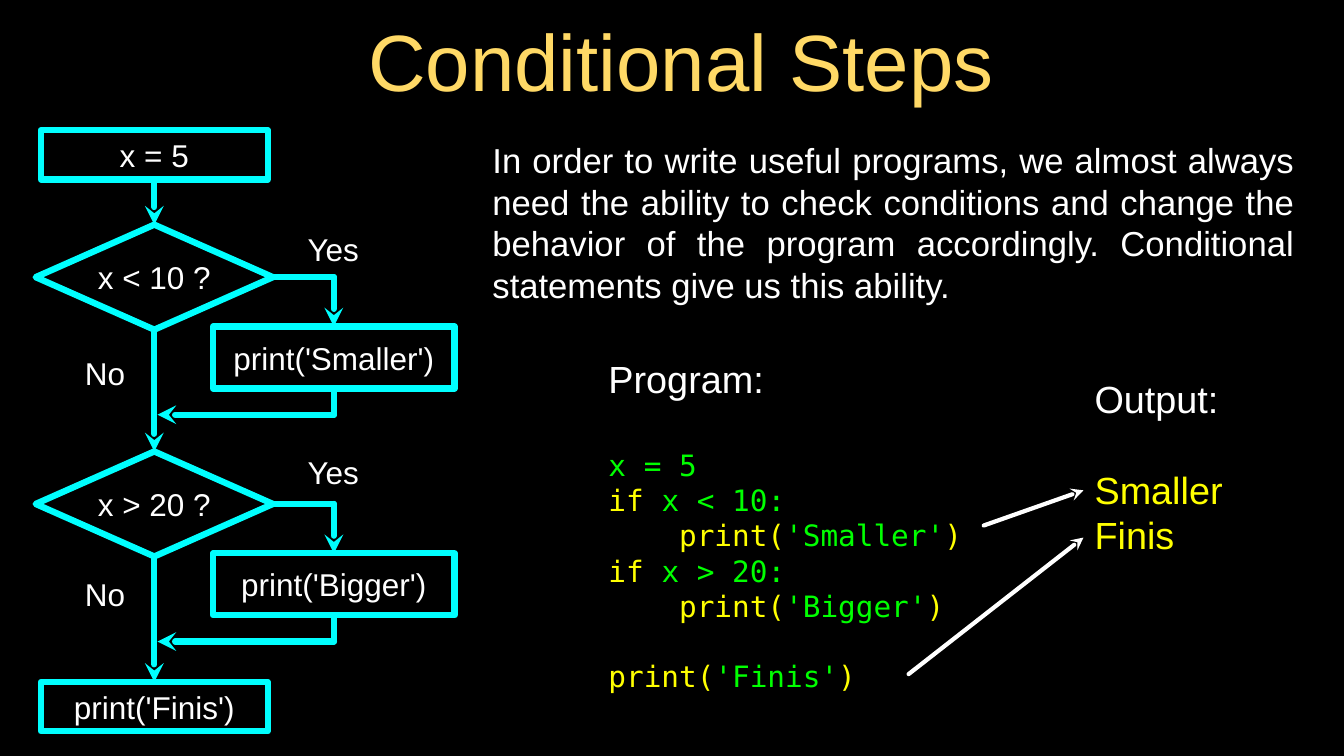
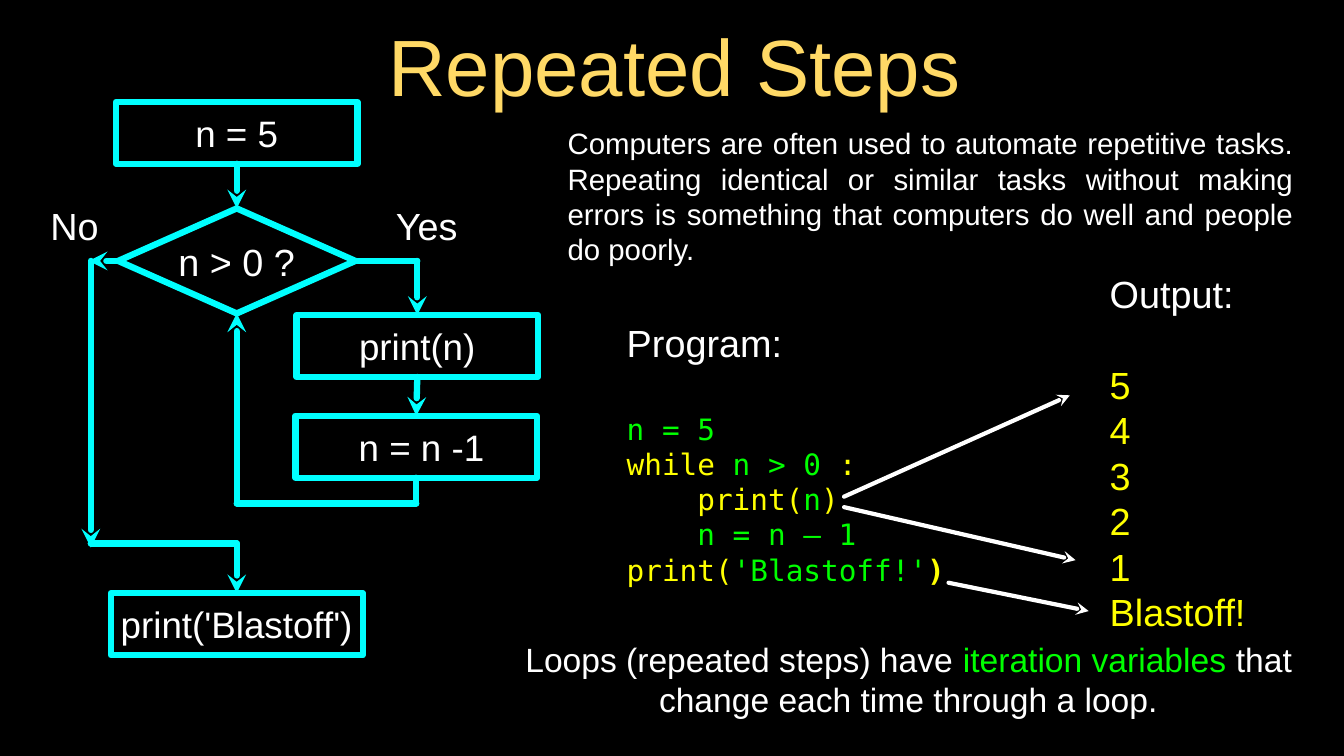
from dataclasses import dataclass

import lxml.etree
import pptx
import pptx.dml.color
import pptx.enum.shapes
import pptx.enum.text
import pptx.oxml.ns
import pptx.util

Pt = pptx.util.Pt
Shapes = pptx.enum.shapes.MSO_SHAPE
Align = pptx.enum.text.PP_ALIGN
Anchor = pptx.enum.text.MSO_ANCHOR
qn = pptx.oxml.ns.qn

TOP, LEFT, BOTTOM, RIGHT = range(4)


@dataclass(frozen=True)
class Theme:
    back: str = "000000"
    title: str = "FFD966"
    text: str = "FFFFFF"
    flow: str = "00FFFF"
    code: str = "00FF00"
    keyword: str = "FFFF00"
    sans: str = "Arial"
    mono: str = "DejaVu Sans Mono"
    title_size: int = 76
    heading_size: int = 36
    code_size: int = 28
    leading: float = 1.2
    flow_width: int = 6
    pointer_width: int = 4


THEME = Theme()


@dataclass(frozen=True)
class Box:
    left: float
    top: float
    width: float
    height: float

    def inner(self, left, top, width, height):
        return Box(self.left + left, self.top + top, width, height)

    def lengths(self):
        return [Pt(v) for v in (self.left, self.top, self.width, self.height)]


@dataclass(frozen=True)
class Line:
    """One paragraph: spans are (text, colour) or (text, colour, bold)."""
    spans: list
    size: float
    font: str = THEME.sans
    gap: float = 0
    align: object = Align.LEFT


@dataclass(frozen=True)
class Side:
    """The middle of one side of a shape."""
    shape: object
    site: int

    @property
    def point(self):
        across, down = {TOP: (0.5, 0), LEFT: (0, 0.5),
                        BOTTOM: (0.5, 1), RIGHT: (1, 0.5)}[self.site]
        return (self.shape.left.pt + across * self.shape.width.pt,
                self.shape.top.pt + down * self.shape.height.pt)


def rgb(colour):
    return pptx.dml.color.RGBColor.from_string(colour)


def write(frame, lines, anchor=Anchor.MIDDLE, insets=(0, 0)):
    frame.word_wrap = True
    frame.vertical_anchor = anchor
    frame.margin_left = frame.margin_right = Pt(insets[0])
    frame.margin_top = frame.margin_bottom = Pt(insets[1])
    for index, line in enumerate(lines):
        para = frame.add_paragraph() if index else frame.paragraphs[0]
        para.alignment = line.align
        para.line_spacing = Pt(line.size * THEME.leading)
        if line.gap:
            para.space_before = Pt(line.gap)
        for text, colour, *bold in line.spans:
            span = para.add_run()
            span.text = text
            span.font.name = line.font
            span.font.size = Pt(line.size)
            span.font.color.rgb = rgb(colour)
            span.font.bold = bool(bold)


def add_text(page, box, lines, **options):
    write(page.shapes.add_textbox(*box.lengths()).text_frame, lines, **options)


def add_label(page, box, text, size):
    add_text(page, box, [Line([(text, THEME.text)], size, align=Align.CENTER)])


def add_node(page, kind, box, text, size):
    node = page.shapes.add_shape(kind, *box.lengths())
    node.shadow.inherit = False
    node.fill.background()
    node.line.color.rgb = rgb(THEME.flow)
    node.line.width = Pt(THEME.flow_width)
    write(node.text_frame,
          [Line([(text, THEME.text)], size, align=Align.CENTER)])
    return node


def add_link(page, start, end, arrow=True, colour=THEME.flow,
             width=THEME.flow_width):
    """Draw a straight line between points or shape sides."""
    points = [stop.point if isinstance(stop, Side) else stop
              for stop in (start, end)]
    link = page.shapes.add_connector(
        pptx.enum.shapes.MSO_CONNECTOR.STRAIGHT,
        *[Pt(value) for point in points for value in point])
    for stop, connect in ((start, link.begin_connect), (end, link.end_connect)):
        if isinstance(stop, Side):
            connect(stop.shape, stop.site)
    link.line.color.rgb = rgb(colour)
    link.line.width = Pt(width)
    properties = link.element.spPr
    outline = properties.find(qn("a:ln"))
    outline.set("cap", "rnd")
    if arrow:
        lxml.etree.SubElement(outline, qn("a:tailEnd"), type="stealth")
    lxml.etree.SubElement(properties, qn("a:effectLst"))


def add_route(page, *stops, arrow=True):
    """Draw a bent path, with the arrowhead on its last leg."""
    for index, (start, end) in enumerate(zip(stops, stops[1:]), 2):
        add_link(page, start, end, arrow and index == len(stops))


def add_pointers(page, pairs):
    for start, end in pairs:
        add_link(page, start, end, colour=THEME.text, width=THEME.pointer_width)


def add_title(page, box, text):
    add_text(page, box, [Line([(text, THEME.title)], THEME.title_size,
                              align=Align.CENTER)], insets=(3, 3))


def add_intro(page, box, text, size):
    add_text(page, box, [Line([(text, THEME.text)], size, align=Align.JUSTIFY)],
             anchor=Anchor.TOP, insets=(7.2, 3.6))


def add_listing(page, box, heading, rows, size, font, extra_gaps=()):
    """A heading, one line of room, then rows of coloured spans."""
    lines = [Line([(heading, THEME.text)], THEME.heading_size)]
    for index, spans in enumerate(rows):
        gap = 0
        if index == 0:
            gap = THEME.heading_size * THEME.leading
        elif index in extra_gaps:
            gap = size * THEME.leading
        lines.append(Line(spans, size, font, gap))
    add_text(page, box, lines)


def add_program(page, box, rows, extra_gaps=()):
    add_listing(page, box, "Program:", rows, THEME.code_size, THEME.mono,
                extra_gaps)


def add_output(page, box, words):
    add_listing(page, box, "Output:", [[(word, THEME.keyword)] for word in words],
                THEME.heading_size, THEME.sans)


def call(argument, indent="", bold_end=False):
    closing = (")", THEME.keyword, True) if bold_end else (")", THEME.keyword)
    return [(indent + "print(", THEME.keyword), (argument, THEME.code), closing]


def add_condition_flow(page, box):
    """Two tests in a row, each with a branch that rejoins the main path."""
    size, pitch = 30, 216
    step = (5, 216, 47)
    previous = add_node(page, Shapes.RECTANGLE,
                        box.inner(step[0], 0, *step[1:]), "x = 5", size)
    tests = (("x < 10 ?", "print('Smaller')", 207),
             ("x > 20 ?", "print('Bigger')", 201.5))
    for index, (question, action, no_top) in enumerate(tests):
        part = box.inner(0, 90 + index * pitch, 398, pitch)
        test = add_node(page, Shapes.DIAMOND, part.inner(0, 0, 226, 100),
                        question, size)
        branch = add_node(page, Shapes.RECTANGLE, part.inner(169, 97, 230, 59),
                          action, size)
        add_link(page, Side(previous, BOTTOM), Side(test, TOP))
        branch_x = Side(branch, TOP).point[0]
        test_x, join_y = Side(test, TOP).point[0], part.top + 181
        add_route(page, Side(test, RIGHT),
                  (branch_x, Side(test, RIGHT).point[1]), Side(branch, TOP))
        add_route(page, Side(branch, BOTTOM), (branch_x, join_y),
                  (test_x + 3, join_y))
        yes_top = (-1.5, -5)[index]
        add_label(page, part.inner(255, yes_top, 57, 49), "Yes", size)
        add_label(page, box.inner(37.5, no_top + index * pitch, 57, 49),
                  "No", size)
        previous = test
    finish = add_node(page, Shapes.RECTANGLE,
                      box.inner(step[0], 525.5, *step[1:]), "print('Finis')", size)
    add_link(page, Side(previous, BOTTOM), Side(finish, TOP))


def add_loop_flow(page, box):
    """A test whose Yes branch loops back and whose No branch leaves."""
    size = 35
    first = add_node(page, Shapes.RECTANGLE, box.inner(68, 0, 230, 59),
                     "n = 5", size)
    test = add_node(page, Shapes.DIAMOND, box.inner(70, 101.5, 226, 100),
                    "n > 0 ?", THEME.heading_size)
    show = add_node(page, Shapes.RECTANGLE, box.inner(240, 203, 230, 59),
                    "print(n)", size)
    count = add_node(page, Shapes.RECTANGLE, box.inner(239, 299, 230, 59),
                     "n = n -1", size)
    count.text_frame.margin_left = Pt(10)
    finish = add_node(page, Shapes.RECTANGLE, box.inner(63, 468, 240, 59),
                      "print('Blastoff')", size)

    # Way in and round the loop
    add_link(page, Side(first, BOTTOM), Side(test, TOP))
    add_route(page, Side(test, RIGHT),
              (Side(show, TOP).point[0], Side(test, RIGHT).point[1]),
              Side(show, TOP))
    add_link(page, Side(show, BOTTOM), Side(count, TOP))
    test_x, return_y = Side(test, BOTTOM).point[0], box.top + 382.5
    add_route(page, Side(count, BOTTOM),
              (Side(count, BOTTOM).point[0], return_y), (test_x, return_y),
              Side(test, BOTTOM))

    # Way out
    exit_x, exit_y = box.left + 44, box.top + 420.5
    test_y = Side(test, LEFT).point[1]
    add_link(page, Side(test, LEFT), (exit_x - 2, test_y))
    add_link(page, (exit_x, test_y), (exit_x, exit_y + 4))
    add_route(page, (exit_x, exit_y), (Side(finish, TOP).point[0], exit_y),
              Side(finish, TOP))
    add_label(page, box.inner(0, 93, 57, 49), "No", THEME.heading_size)
    add_label(page, box.inner(325, 93, 78, 49), "Yes", THEME.heading_size)


def add_page(deck):
    page = deck.slides.add_slide(deck.slide_layouts[6])
    page.background.fill.solid()
    page.background.fill.fore_color.rgb = rgb(THEME.back)
    return page


def build_conditional_page(deck):
    page = add_page(deck)
    add_title(page, Box(271, 3, 755, 107), "Conditional Steps")
    add_condition_flow(page, Box(34, 124, 398, 573))
    add_intro(page, Box(462, 129, 778, 167),
              "In order to write useful programs, we almost always need the "
              "ability to check conditions and change the behavior of the program "
              "accordingly. Conditional statements give us this ability.", 33)
    add_program(page, Box(579.6, 304, 357, 392), [
        [("x = 5", THEME.code)],
        [("if ", THEME.keyword), ("x < 10:", THEME.code)],
        call("'Smaller'", "    "),
        [("if ", THEME.keyword), ("x > 20:", THEME.code)],
        call("'Bigger'", "    "),
        call("'Finis'"),
    ], extra_gaps=(5,))
    add_output(page, Box(1042.6, 358.5, 125, 172), ["Smaller", "Finis"])
    add_pointers(page, [((937, 500.5), (1032, 467)), ((865.5, 642), (1032, 512))])


def build_repeated_page(deck):
    page = add_page(deck)
    add_title(page, Box(266, 8, 752, 107), "Repeated Steps")
    add_loop_flow(page, Box(42.5, 97, 470, 527))
    add_intro(page, Box(533.5, 116, 705, 143),
              "Computers are often used to automate repetitive tasks. Repeating "
              "identical or similar tasks without making errors is something that "
              "computers do well and people do poorly.", 28)
    add_program(page, Box(597, 279.5, 307, 305), [
        [("n = 5", THEME.code)],
        [("while", THEME.keyword), (" n > 0", THEME.code), (" :", THEME.keyword)],
        call("n", "    "),
        [("    ", THEME.keyword), ("n = n – 1", THEME.code)],
        call("'Blastoff!'", bold_end=True),
    ])
    add_output(page, Box(1057, 263, 157, 336), [*"54321", "Blastoff!"])
    add_pointers(page, [((804, 473), (1019, 376.5)), ((804, 483), (1024.5, 533.5)),
                        ((903.5, 555), (1037, 582))])

    # Closing remark
    add_text(page, Box(451, 600, 829, 93.5), [Line(
        [("Loops (repeated steps) have ", THEME.text),
         ("iteration variables ", THEME.code),
         ("that change each time through a loop.", THEME.text)],
        32, align=Align.CENTER)])


def main():
    deck = pptx.Presentation()
    deck.slide_width, deck.slide_height = Pt(1280.16), Pt(720)
    build_conditional_page(deck)
    build_repeated_page(deck)
    deck.save("out.pptx")


if __name__ == "__main__":
    main()
